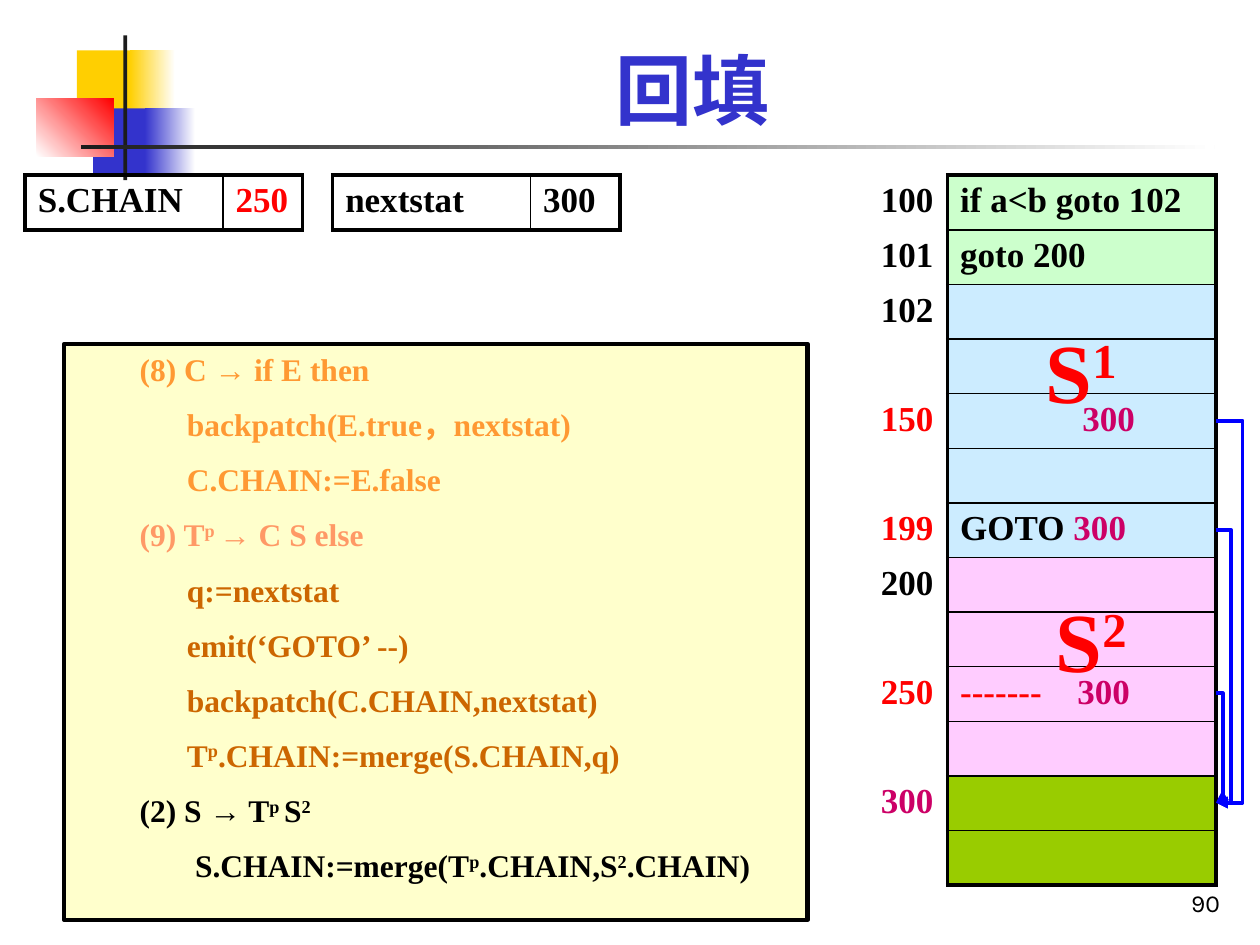
from lxml.etree import SubElement
from pptx import Presentation
from pptx.dml.color import RGBColor
from pptx.enum.shapes import MSO_CONNECTOR as Connector, MSO_SHAPE as Shape
from pptx.enum.text import MSO_ANCHOR as Anchor, PP_ALIGN as Align
from pptx.oxml.ns import qn
from pptx.util import Emu, Inches, Pt

# The slide is a grid of 100 columns by 75 rows
SLIDE_WIDTH, SLIDE_HEIGHT = Inches(10), Inches(7.5)
CELL = SLIDE_WIDTH / 100

BLACK, WHITE, RED, BLUE = "000000", "FFFFFF", "FF0000", "3333CC"
YELLOW, DARK, PINK = "FFCF01", "1C1C1C", "CC0066"
ORANGE, SALMON, BROWN = "FF9933", "FF9966", "CC6600"
GREEN, SKY, LILAC, OLIVE = "CCFFCC", "CCECFF", "FFCCFF", "99CC00"

TABLE_TOP, ROW_HEIGHT = 13.9, 4.33
CODE_LEFT, CODE_COLUMNS = 68.9, (6.3, 21.3)
THICK, THIN = 2.25, 1
NO_STYLE = "{2D5ABB26-0587-4C30-8999-92F81FD0307C}"

# (label, label colour, runs, fill)
CODE_ROWS = [
    ("100", BLACK, [("if a<b goto 102", BLACK)], GREEN),
    ("101", BLACK, [("goto 200", BLACK)], GREEN),
    ("102", BLACK, [], SKY),
    ("", BLACK, [], SKY),
    ("150", RED, [("300", PINK)], SKY),
    ("", BLACK, [], SKY),
    ("199", RED, [("GOTO ", BLACK), ("300", PINK)], SKY),
    ("200", BLACK, [], LILAC),
    ("", BLACK, [], LILAC),
    ("250", RED, [("-------\t", RED), ("300", PINK)], LILAC),
    ("", BLACK, [], LILAC),
    ("300", PINK, [], OLIVE),
    ("", BLACK, [], OLIVE),
]

# (text with ^superscripts^, colour, start of the line)
RULES = [
    ("(8) C → if E then", ORANGE, 5),
    ("backpatch(E.true，nextstat)", ORANGE, 8.75),
    ("C.CHAIN:=E.false", ORANGE, 8.75),
    ("(9) T^p ^→ C S else", SALMON, 5),
    ("q:=nextstat", BROWN, 8.75),
    ("emit(‘GOTO’ --)", BROWN, 8.75),
    ("backpatch(C.CHAIN,nextstat)", BROWN, 8.75),
    ("T^p^.CHAIN:=merge(S.CHAIN,q)", BROWN, 8.75),
    ("(2) S → T^p ^S^2^", BLACK, 5),
    ("S.CHAIN:=merge(T^p^.CHAIN,S^2^.CHAIN)", BLACK, 9.4),
]


def grid(*counts):
    return [Emu(round(count * CELL)) for count in counts]


def color(value):
    return RGBColor.from_string(value)


def write(paragraph, runs, size=20, font="Times New Roman", bold=True,
          align=Align.LEFT, start=0, tab=None, before=0):
    """Fill a paragraph with (text, colour) runs; ^marks^ are superscript."""
    properties = paragraph._p.get_or_add_pPr()
    if tab:
        stops = SubElement(properties, qn("a:tabLst"))
        SubElement(stops, qn("a:tab"), pos=str(grid(tab)[0]), algn="l")
    if start:
        properties.set("marL", str(grid(start)[0]))
        properties.set("indent", "0")
    paragraph.alignment = align
    if before:
        paragraph.space_before = Pt(before)
    for text, ink in runs:
        for index, part in enumerate(text.split("^")):
            if not part:
                continue
            run = paragraph.add_run()
            run.text = part
            run.font.size, run.font.name, run.font.bold = Pt(size), font, bold
            run.font.color.rgb = color(ink)
            if index % 2:
                run.font._element.set("baseline", "30000")


def add_box(slide, place, fill, fade_to=None, angle=0, outline=None):
    box = slide.shapes.add_shape(Shape.RECTANGLE, *grid(*place))
    box.shadow.inherit = False
    if fade_to:
        box.fill.gradient()
        box.fill.gradient_angle = angle
        for stop, shade in zip(box.fill.gradient_stops, (fill, fade_to)):
            stop.color.rgb = color(shade)
    else:
        box.fill.solid()
        box.fill.fore_color.rgb = color(fill)
    if outline:
        box.line.color.rgb, box.line.width = color(BLACK), Pt(outline)
    else:
        box.line.fill.background()
    return box


def add_label(slide, place, text, ink, anchor=Anchor.TOP, **text_format):
    frame = slide.shapes.add_textbox(*grid(*place)).text_frame
    frame.word_wrap, frame.vertical_anchor = True, anchor
    write(frame.paragraphs[0], [(text, ink)], **text_format)


def add_grid_table(slide, left, columns, row_count):
    place = grid(left, TABLE_TOP, sum(columns), ROW_HEIGHT * row_count)
    table = slide.shapes.add_table(row_count, len(columns), *place).table
    table._tbl.tblPr.find(qn("a:tableStyleId")).text = NO_STYLE
    table.first_row = table.horz_banding = False
    for column, width in zip(table.columns, grid(*columns)):
        column.width = width
    return table


def set_cell(cell, runs, fill=None, borders=None, **text_format):
    """Borders map a side (L, R, T, B) to a width in points."""
    properties = cell._tc.get_or_add_tcPr()
    for side in "LRTB":
        width = (borders or {}).get(side)
        if width:
            line = SubElement(properties, qn("a:ln" + side), w=str(Pt(width)))
            paint = SubElement(line, qn("a:solidFill"))
            SubElement(paint, qn("a:srgbClr"), val=BLACK)
    if fill:
        cell.fill.solid()
        cell.fill.fore_color.rgb = color(fill)
    else:
        cell.fill.background()
    write(cell.text_frame.paragraphs[0], runs, **text_format)


def add_variable(slide, left, columns, name, value, ink):
    table = add_grid_table(slide, left, columns, 1)
    edges = {"T": THICK, "B": THICK}
    set_cell(table.cell(0, 0), [(name, BLACK)], borders={**edges, "L": THICK, "R": THIN})
    set_cell(table.cell(0, 1), [(value, ink)], borders={**edges, "L": THIN, "R": THICK})


def add_code_table(slide):
    table = add_grid_table(slide, CODE_LEFT, CODE_COLUMNS, len(CODE_ROWS))
    last = len(CODE_ROWS) - 1
    layouts = {4: {"start": 9.7}, 9: {"tab": 9.3}}
    for row, (label, ink, runs, fill) in enumerate(CODE_ROWS):
        set_cell(table.cell(row, 0), [(label, ink)], WHITE, {"R": THICK})
        borders = {"L": THICK, "R": THICK, "T": THIN if row else THICK,
                   "B": THIN if row < last else THICK}
        set_cell(table.cell(row, 1), runs, fill, borders, **layouts.get(row, {}))


def add_jump(slide, from_row, to_row, reach):
    """Arrow that leaves the code table, turns at reach and comes back."""
    span = Emu(1588)
    x, start, end = grid(CODE_LEFT + sum(CODE_COLUMNS),
                         *(TABLE_TOP + (row + 0.5) * ROW_HEIGHT for row in (from_row, to_row)))
    jump = slide.shapes.add_connector(Connector.ELBOW, x, start, x + span, end)
    jump.line.color.rgb, jump.line.width = color("0000FF"), Pt(2.25)
    SubElement(jump.line._get_or_add_ln(), qn("a:tailEnd"), type="triangle")
    properties = jump._element.spPr
    SubElement(properties, qn("a:effectLst"))
    bend = round(grid(reach)[0] / span * 100000)
    guides = properties.find(qn("a:prstGeom")).get_or_add_avLst()
    SubElement(guides, qn("a:gd"), name="adj1", fmla=f"val {bend}")


def add_decoration(slide):
    add_box(slide, (6.1, 4, 4.8, 5.2), YELLOW)
    add_box(slide, (10.3, 4, 3.6, 5.2), YELLOW, WHITE)
    add_box(slide, (7.4, 8.6, 4.6, 5.2), BLUE)
    add_box(slide, (11.5, 8.6, 4, 5.2), BLUE, WHITE)
    add_box(slide, (2.9, 7.8, 6.1, 4.6), WHITE, RED, angle=45)
    add_box(slide, (9.8, 2.8, 0.3, 11.5), DARK)
    add_box(slide, (6.4, 11.5, 90, 0.3), DARK, WHITE)


def add_rules(slide):
    frame = add_box(slide, (5.1, 27.3, 59, 45.7), "FFFFCC", outline=2.5).text_frame
    frame.word_wrap, frame.vertical_anchor = True, Anchor.TOP
    for index, (text, ink, start) in enumerate(RULES):
        paragraph = frame.add_paragraph() if index else frame.paragraphs[0]
        write(paragraph, [(text, ink)], size=18, start=start, before=9.9 if index else 0)


def main():
    presentation = Presentation()
    presentation.slide_width, presentation.slide_height = SLIDE_WIDTH, SLIDE_HEIGHT
    slide = presentation.slides.add_slide(presentation.slide_layouts[6])

    # Decoration, page number, rules and title
    add_decoration(slide)
    add_label(slide, (77, 68.3, 20.8, 5), "90", BLACK, Anchor.BOTTOM,
              size=14, font="Karla", bold=False, align=Align.RIGHT)
    add_rules(slide)
    add_label(slide, (12.2, 3.6, 85.5, 7.6), "回填", BLUE, Anchor.BOTTOM,
              size=44, align=Align.CENTER)

    # Code and variables
    add_code_table(slide)
    add_variable(slide, 26.4, (15.7, 7.1), "nextstat", "300", BLACK)
    add_variable(slide, 2, (15.7, 6.3), "S.CHAIN", "250", RED)

    # Names of the statement blocks
    for left, top, text in ((80.7, 24.9, "S^1^"), (81.5, 46.2, "S^2^")):
        add_label(slide, (left, top, 10.2, 9), text, RED, size=48, align=Align.CENTER)

    # Jumps to 300
    for from_row, reach in ((6, 1.3), (4, 2.34), (9, 0.61)):
        add_jump(slide, from_row, 11, reach)

    presentation.save("out.pptx")


if __name__ == "__main__":
    main()
